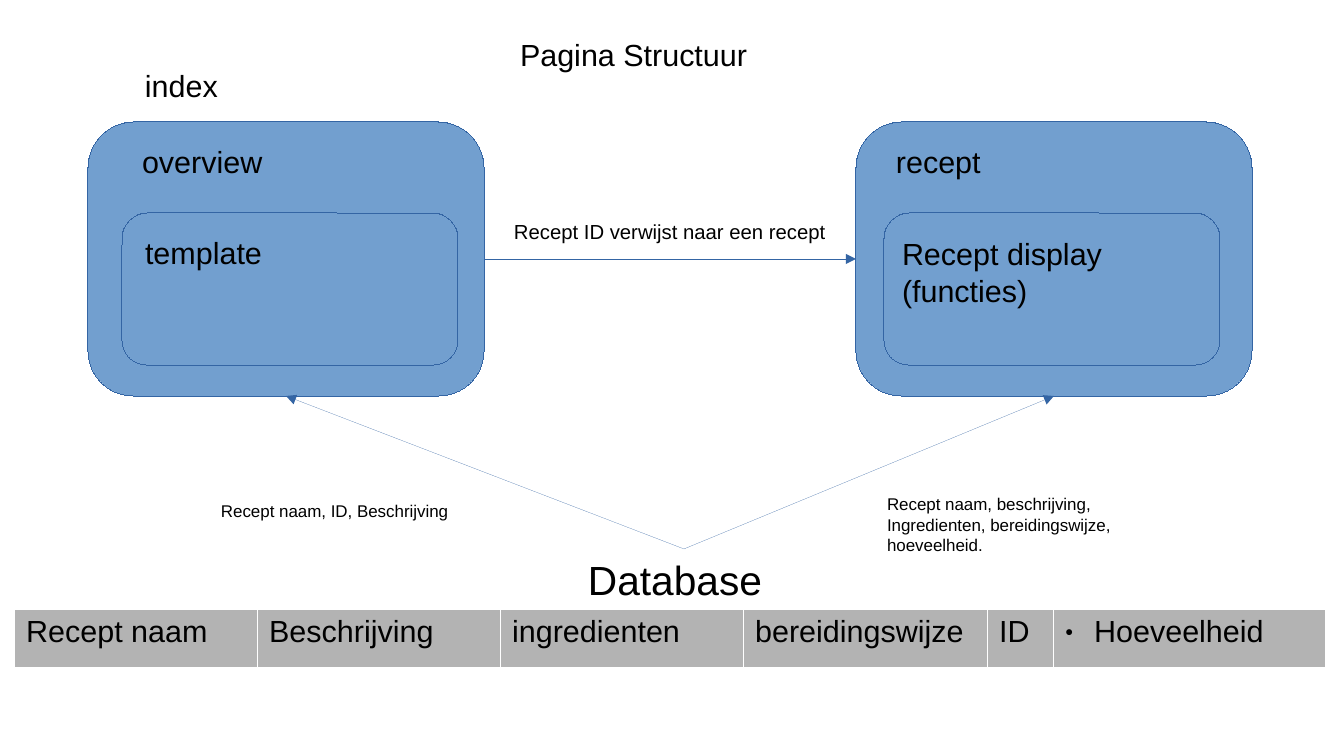
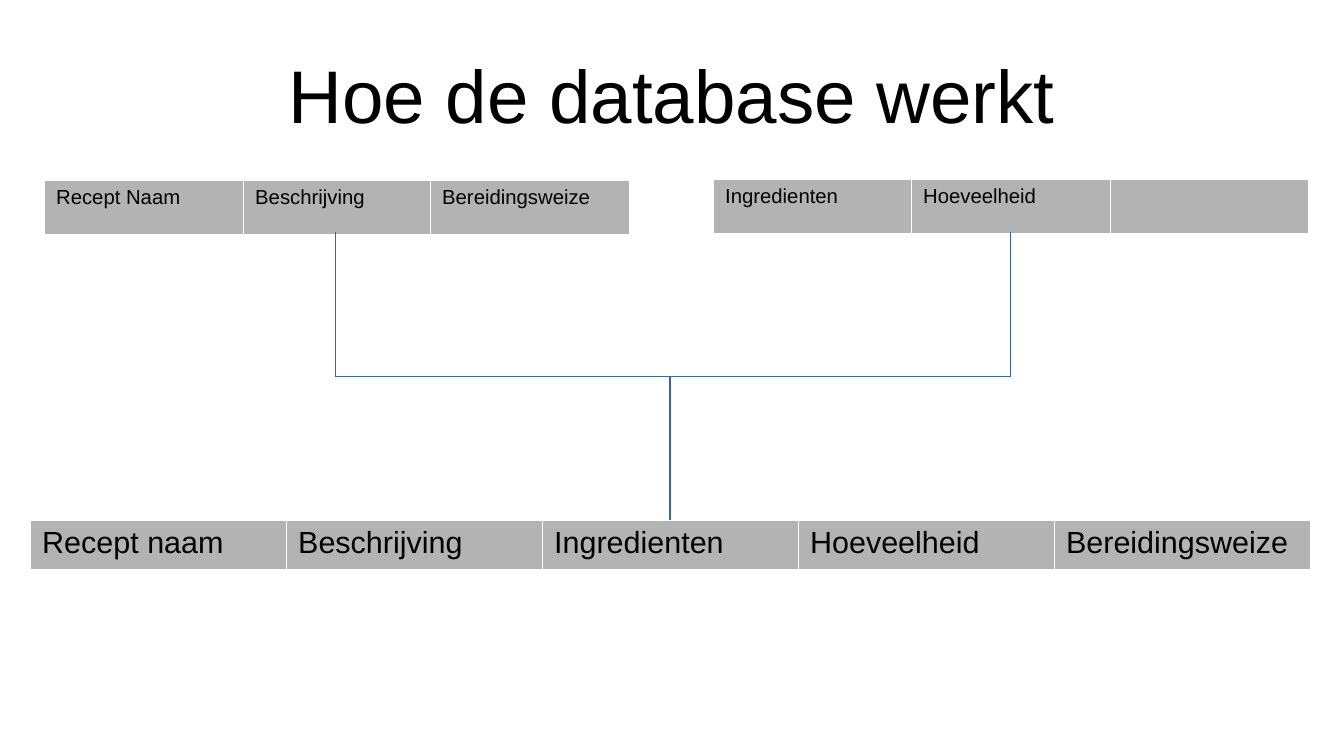
from lxml import etree
from pptx import Presentation
from pptx.dml.color import RGBColor
from pptx.enum.shapes import MSO_CONNECTOR, MSO_SHAPE
from pptx.enum.text import MSO_ANCHOR, MSO_AUTO_SIZE, PP_ALIGN
from pptx.oxml.ns import qn
from pptx.util import Pt

ROUNDED = MSO_SHAPE.ROUNDED_RECTANGLE
STRAIGHT, ELBOW = MSO_CONNECTOR.STRAIGHT, MSO_CONNECTOR.ELBOW
LEFT, CENTER = PP_ALIGN.LEFT, PP_ALIGN.CENTER
TOP, MIDDLE = MSO_ANCHOR.TOP, MSO_ANCHOR.MIDDLE
FIT, FIXED = MSO_AUTO_SIZE.SHAPE_TO_FIT_TEXT, MSO_AUTO_SIZE.NONE

PX = 7495  # EMU per px
BLACK = RGBColor(0x00, 0x00, 0x00)
WHITE = RGBColor(0xFF, 0xFF, 0xFF)
BOX_BLUE = RGBColor(0x72, 0x9F, 0xCF)
LINE_BLUE = RGBColor(0x34, 0x65, 0xA4)
CELL_GRAY = RGBColor(0xB3, 0xB3, 0xB3)
FONT = "Arial"


def write_text(frame, text, size, align=LEFT, **frame_format):
    frame.text = text
    for name, value in frame_format.items():
        setattr(frame, name, value)
    for paragraph in frame.paragraphs:
        paragraph.alignment = align
        for name, value in {"name": FONT, "size": Pt(size)}.items():
            setattr(paragraph.font, name, value)
        paragraph.font.color.rgb = BLACK


def add_field_row(slide, left, top, widths, height, fields, size):
    table = slide.shapes.add_table(1, len(fields), left * PX, top * PX,
                                   sum(widths) * PX, height * PX).table
    table.first_row = table.horz_banding = False
    for column, width, cell, field in zip(table.columns, widths, table.rows[0].cells, fields):
        column.width = width * PX
        write_text(cell.text_frame, field, size)
        # Thin white borders come before the fill
        cell_format = cell._tc.get_or_add_tcPr()
        for side in ("a:lnL", "a:lnR", "a:lnT", "a:lnB"):
            border = etree.SubElement(cell_format, qn(side), w="762")
            paint = etree.SubElement(border, qn("a:solidFill"))
            etree.SubElement(paint, qn("a:srgbClr"), val=str(WHITE))
        cell.fill.solid()
        cell.fill.fore_color.rgb = CELL_GRAY
    return table


prs = Presentation()
prs.slide_width, prs.slide_height = 1344 * PX, 756 * PX
title_only = prs.slide_layouts[5]
structure = prs.slides.add_slide(title_only)
workings = prs.slides.add_slide(title_only)

# Titles
title_insets = dict.fromkeys(("margin_left", "margin_right", "margin_top", "margin_bottom"), 0)
for slide, place, text, size, align, anchor in (
    (structure, (520, 36, 251, 46), "Pagina Structuur", 18, LEFT, TOP),
    (workings, (67, 30, 1210, 127), "Hoe de database werkt", 44, CENTER, MIDDLE),
):
    title = slide.shapes.title
    title.left, title.top, title.width, title.height = (v * PX for v in place)
    write_text(title.text_frame, text, size, align, vertical_anchor=anchor,
               auto_size=FIXED, word_wrap=True, **title_insets)

# Page boxes, each with an inner box
pages, boxes = [], []
for page_left, inner_left in ((88, 122), (856, 884)):
    for place in ((page_left, 122, 396, 274), (inner_left, 213, 336, 152)):
        box = structure.shapes.add_shape(ROUNDED, *(v * PX for v in place))
        box.shadow.inherit = False
        box.fill.solid()
        box.fill.fore_color.rgb = BOX_BLUE
        boxes.append(box)
    pages.append(boxes[-2])
overview, recipe = pages

# Labels, wide enough to keep each line whole
for left, top, width, height, text, size in (
    (133, 61, 110, 46, "index", 18),
    (130, 137, 160, 46, "overview", 18),
    (133, 228, 160, 46, "template", 18),
    (884, 137, 120, 46, "recept", 18),
    (890, 229, 240, 81, "Recept display\n(functies)", 18),
    (576, 549, 217, 57, "Database", 24),
    (875, 488, 270, 68,
     "Recept naam, beschrijving,\nIngredienten, bereidingswijze, \vhoeveelheid.", 10),
    (209, 495, 270, 31, "Recept naam, ID, Beschrijving", 10),
    (502, 213, 350, 35, "Recept ID verwijst naar een recept", 12),
):
    label = structure.shapes.add_textbox(left * PX, top * PX, width * PX, height * PX)
    write_text(label.text_frame, text, size, word_wrap=True, auto_size=FIT)

# Arrows between the pages and from the database
arrows = []
for page in pages:
    arrow = structure.shapes.add_connector(STRAIGHT, 684 * PX, 549 * PX, 0, 0)
    arrow.end_connect(page, 2)
    arrows.append(arrow)
page_link = structure.shapes.add_connector(STRAIGHT, 0, 0, 0, 0)
page_link.begin_connect(overview, 3)
page_link.end_connect(recipe, 1)
arrows.append(page_link)

# Database fields, the last one bulleted
database = add_field_row(
    structure, 14, 609, (243, 243, 243, 244, 66, 272), 58,
    ("Recept naam", "Beschrijving", "ingredienten", "bereidingswijze", "ID", "Hoeveelheid"), 18)
bullet_format = database.cell(0, 5).text_frame.paragraphs[0]._p.get_or_add_pPr()
bullet_format.set("marL", str(29 * PX))
bullet_format.set("indent", str(-29 * PX))
bullet_parts = [etree.Element(qn("a:buSzPct"), val="45000"),
                etree.Element(qn("a:buFont"), typeface=FONT),
                etree.Element(qn("a:buChar"), char="●")]
for position, part in enumerate(bullet_parts):
    bullet_format.insert(position, part)

# Source tables and the combined table
add_field_row(workings, 713, 179, (198, 199, 198), 54, ("Ingredienten", "Hoeveelheid", ""), 12)
add_field_row(workings, 44, 180, (199, 187, 199), 54,
              ("Recept Naam", "Beschrijving", "Bereidingsweize"), 12)
add_field_row(workings, 30, 520, [256] * 5, 49,
              ("Recept naam", "Beschrijving", "Ingredienten", "Hoeveelheid", "Bereidingsweize"), 18)

# Elbows leave downwards, so each frame is turned a quarter around its centre
joins = []
join_x, join_y = 670, 520
for start_x, start_y in ((1010, 233), (336, 233)):
    mid_x, mid_y = (start_x + join_x) * PX // 2, (start_y + join_y) * PX // 2
    half_run, half_drop = abs(join_x - start_x) * PX // 2, (join_y - start_y) * PX // 2
    join = workings.shapes.add_connector(ELBOW, mid_x - half_drop, mid_y - half_run,
                                         mid_x + half_drop, mid_y + half_run)
    frame = join._element.spPr.find(qn("a:xfrm"))
    if start_x > join_x:
        frame.set("rot", str(90 * 60000))
    else:
        frame.set("rot", str(270 * 60000))
        frame.set("flipH", "1")
    joins.append(join)

# Blue hairlines: the zero width is written out so the theme width does not apply
for outlined in boxes + arrows + joins:
    outlined.line.color.rgb = LINE_BLUE
    outlined.line._get_or_add_ln().set("w", "0")
for arrow in arrows:
    etree.SubElement(arrow.line._get_or_add_ln(), qn("a:tailEnd"), type="triangle")
for connector in arrows + joins:
    etree.SubElement(connector._element.spPr, qn("a:effectLst"))

prs.save("out.pptx")
